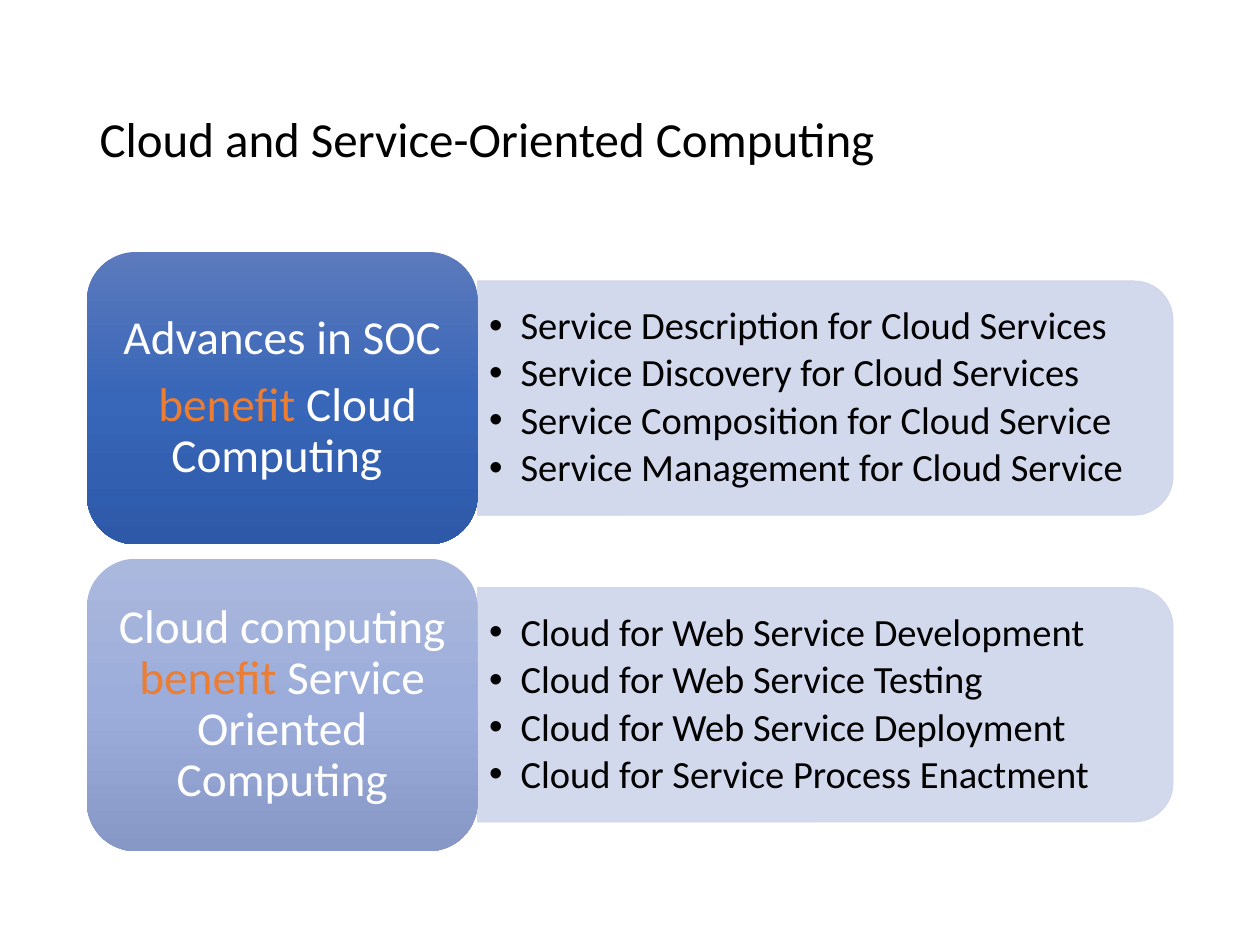
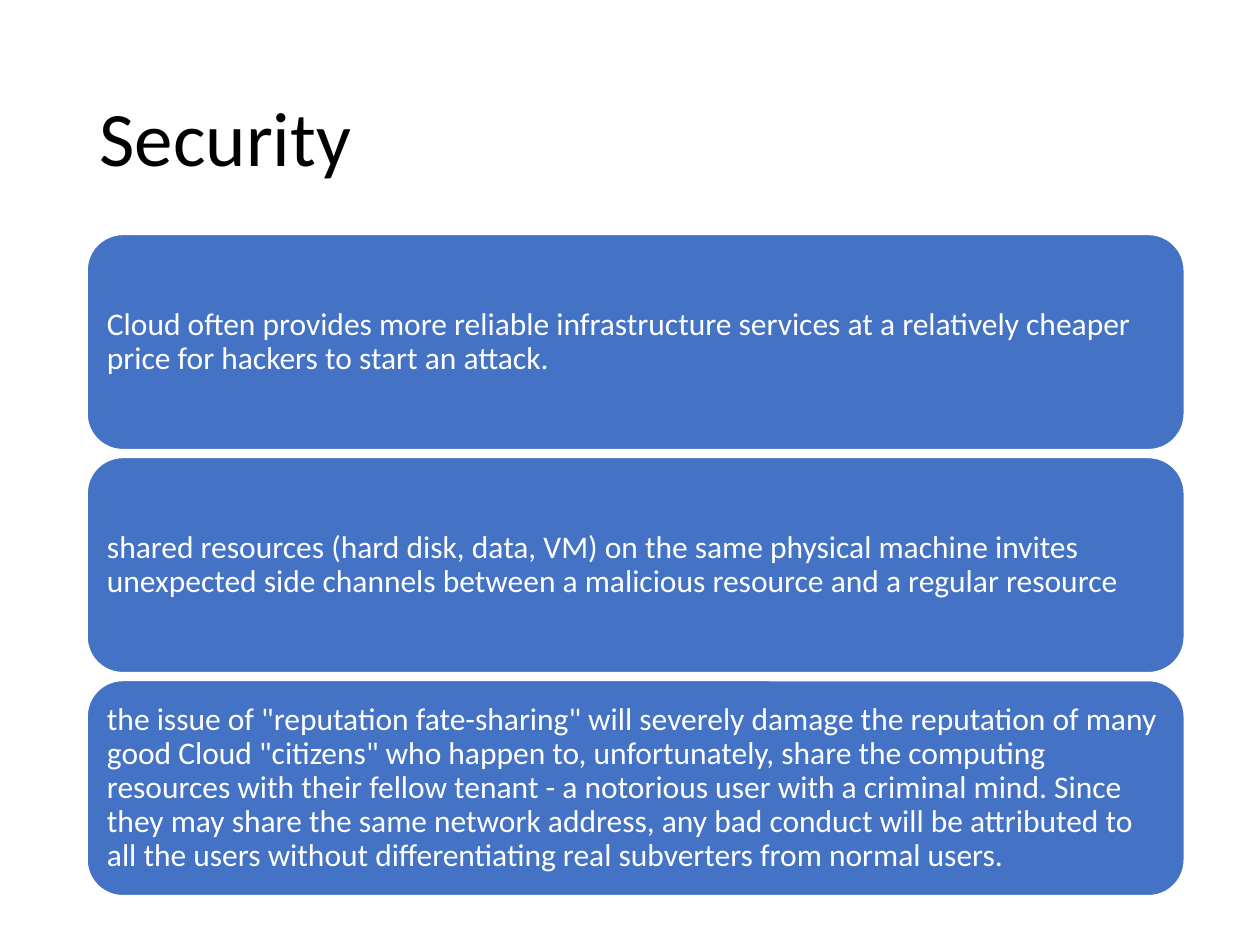
from copy import deepcopy

from lxml import etree
from pptx import Presentation
from pptx.dml.color import RGBColor
from pptx.enum import shapes, text
from pptx.oxml import ns
from pptx.util import Pt

# Shared style
FONT = "Calibri"
BLACK, WHITE = "000000", "FFFFFF"
ORANGE, BLUE, PALE_BLUE = "ED7D31", "4472C4", "CFD5EA"
LEFT = 49.68


def set_color(color, value):
    color.rgb = RGBColor.from_string(value)


def add_para(frame, spans, size, color, align=text.PP_ALIGN.LEFT,
             after=0, inset=None, bullet=None):
    """Add one paragraph; a span is a string or a (string, colour) pair."""
    frame.word_wrap = True
    frame.auto_size = text.MSO_AUTO_SIZE.NONE
    frame.vertical_anchor = text.MSO_ANCHOR.MIDDLE
    if inset:
        frame.margin_left = frame.margin_right = Pt(inset[0])
        frame.margin_top = frame.margin_bottom = Pt(inset[1])
    first = frame.paragraphs[0]
    para = frame.add_paragraph() if first.runs else first
    para.alignment = align
    para.line_spacing = 0.9
    para.space_before = Pt(0)
    para.space_after = Pt(after)
    if bullet:
        para.level = 1
        props = para._p.get_or_add_pPr()
        props.set("marL", str(Pt(18)))
        props.set("indent", str(Pt(-18)))
        etree.SubElement(props, ns.qn("a:buFont")).set("typeface", "Arial")
        etree.SubElement(props, ns.qn("a:buChar")).set("char", bullet)
    for part in spans:
        words, span_color = (part, color) if isinstance(part, str) else part
        span = para.add_run()
        span.text = words
        span.font.name = FONT
        span.font.size = Pt(size)
        set_color(span.font.color, span_color)


deck = Presentation()
deck.slide_width, deck.slide_height = Pt(720), Pt(540)

# Pages with their titles
pages = []
for heading, size in [("Cloud and Service-Oriented Computing", 28),
                      ("Security", 44)]:
    page = deck.slides.add_slide(deck.slide_layouts[5])
    title = page.shapes.title
    title.left, title.top = Pt(LEFT), Pt(28.8)
    title.width, title.height = Pt(620.64), Pt(104.4)
    add_para(title.text_frame, [heading], size, BLACK)
    pages.append(page)
computing, security = pages

# Computing: gradient label on the left, bullet panel on the right
topics = [
    (["5C7ABD", "3866B8", "2D59A8"],
     [["Advances in SOC"],
      [" ", ("benefit", ORANGE), " Cloud Computing "]],
     ["Service Description for Cloud Services",
      "Service Discovery for Cloud Services",
      "Service Composition for Cloud Service",
      "Service Management for Cloud Service"]),
    (["ABB8DD", "9CADDB", "8798C6"],
     [["Cloud computing ", ("benefit", ORANGE),
       " Service Oriented Computing"]],
     ["Cloud for Web Service Development",
      "Cloud for Web Service Testing",
      "Cloud for Web Service Deployment",
      "Cloud for Service Process Enactment"]),
]
label_width, label_height = 223.2, 167.04
panel_width, panel_height = 397.44, 133.92
bullets_width, bullets_height = 391, 121
panel_left = LEFT + label_width

for row, (gradient, label_lines, items) in enumerate(topics):
    top = 144 + row * 175.3
    middle = top + label_height / 2

    # Panel: a tall shape turned a quarter, so its round corners face right
    panel = computing.shapes.add_shape(
        shapes.MSO_SHAPE.ROUND_2_SAME_RECTANGLE,
        Pt(panel_left + (panel_width - panel_height) / 2),
        Pt(middle - panel_width / 2), Pt(panel_height), Pt(panel_width))
    panel.rotation = 90
    panel.shadow.inherit = False
    panel.fill.solid()
    set_color(panel.fill.fore_color, PALE_BLUE)
    set_color(panel.line.color, PALE_BLUE)
    panel.line.width = Pt(0.5)
    for color in panel._element.spPr.iter(ns.qn("a:srgbClr")):
        etree.SubElement(color, ns.qn("a:alpha")).set("val", "90000")

    # Bullets
    box = computing.shapes.add_textbox(
        Pt(panel_left), Pt(middle - bullets_height / 2),
        Pt(bullets_width), Pt(bullets_height))
    for item in items:
        add_para(box.text_frame, [item], 22, BLACK, after=3.3,
                 inset=(6.6, 3.3), bullet="•")

    # Label
    label = computing.shapes.add_shape(
        shapes.MSO_SHAPE.ROUNDED_RECTANGLE,
        Pt(LEFT), Pt(top), Pt(label_width), Pt(label_height))
    label.shadow.inherit = False
    label.line.fill.background()
    label.fill.gradient()
    label.fill.gradient_angle = 270
    stop_list = next(label._element.spPr.iter(ns.qn("a:gsLst")))
    stop_list.insert(1, deepcopy(stop_list[0]))
    for index, stop in enumerate(label.fill.gradient_stops):
        stop.position = index / 2
        set_color(stop.color, gradient[index])
    for spans in label_lines:
        add_para(label.text_frame, spans, 27, WHITE, after=9.45,
                 align=text.PP_ALIGN.CENTER, inset=(8.1, 4.05))

# Security: three stacked cards
risks = [
    "Cloud often provides more reliable infrastructure services at a "
    "relatively cheaper price for hackers to start an attack.",
    "shared resources (hard disk, data, VM) on the same physical machine "
    "invites unexpected side channels between a malicious resource and a "
    "regular resource",
    'the issue of "reputation fate-sharing" will severely damage the '
    'reputation of many good Cloud "citizens" who happen to, unfortunately, '
    "share the computing resources with their fellow tenant - a notorious "
    "user with a criminal mind. Since they may share the same network "
    "address, any bad conduct will be attributed to all the users without "
    "differentiating real subverters from normal users.",
]
for row, risk in enumerate(risks):
    card = security.shapes.add_shape(
        shapes.MSO_SHAPE.ROUNDED_RECTANGLE,
        Pt(LEFT), Pt(133.92 + row * 127.44), Pt(627.12), Pt(123.12))
    card.shadow.inherit = False
    card.fill.solid()
    set_color(card.fill.fore_color, BLUE)
    set_color(card.line.color, WHITE)
    card.line.width = Pt(1)
    add_para(card.text_frame, [risk], 18, WHITE, after=6.3, inset=(5.4, 5.4))

deck.save("out.pptx")
